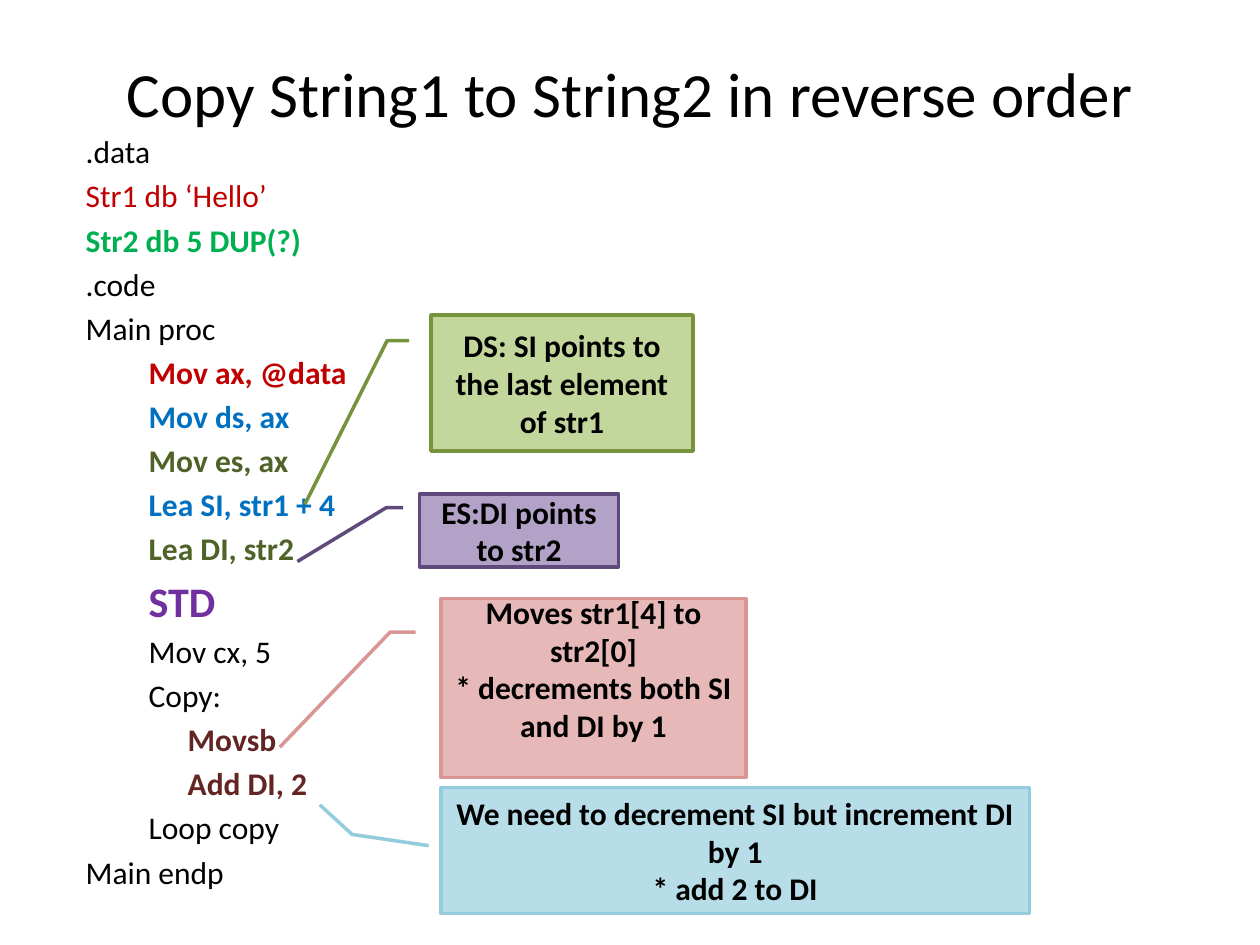
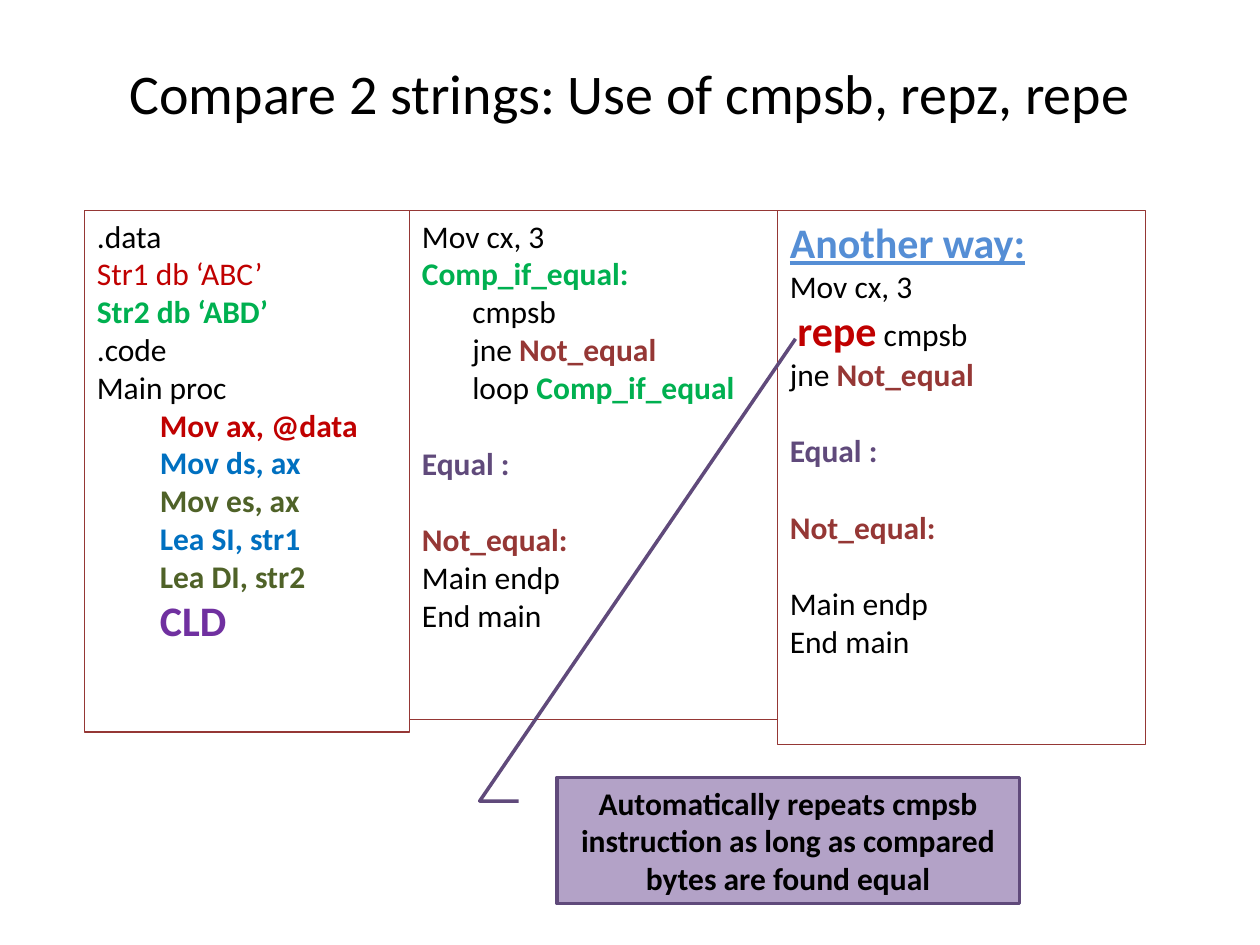
from dataclasses import dataclass

from lxml import etree
from pptx import Presentation
from pptx.dml.color import RGBColor
from pptx.enum import shapes, text
from pptx.oxml import ns
from pptx.util import Inches, Pt

FONT = "Calibri"
BLANK_LINE = 22
COLORS = {
    "black": "000000", "red": "C00000", "green": "00B050", "blue": "0070C0",
    "olive": "4F6228", "purple": "7030A0", "maroon": "632523",
    "brick": "953735", "violet": "604A7B", "sky": "558ED5",
    "moss": "77933C", "moss_fill": "C3D69B", "violet_fill": "B3A2C7",
    "rose": "D99694", "rose_fill": "E6B9B8",
    "aqua": "93CDDD", "aqua_fill": "B7DEE8",
}
ELBOW = (0.188, -0.083, 0.188, -0.167)


@dataclass
class Run:
    text: str
    color: str = "black"
    bold: bool = False
    size: int = 18
    underline: bool = False


@dataclass
class Line:
    runs: list
    indent: float = 0
    gap: int = 0


def plain(words, indent=0):
    return Line([Run(words)], indent)


def strong(words, color="black", indent=0, gap=0, size=18):
    return Line([Run(words, color, True, size)], indent, gap)


def rgb(name):
    return RGBColor.from_string(COLORS[name])


def place(sp, box):
    sp.left, sp.top, sp.width, sp.height = (Inches(v) for v in box)


def add_run(p, run):
    r = p.add_run()
    r.text = run.text
    r.font.name = FONT
    r.font.size = Pt(run.size)
    r.font.bold = run.bold
    r.font.underline = run.underline
    r.font.color.rgb = rgb(run.color)


def write_lines(tf, lines, align=text.PP_ALIGN.LEFT):
    tf.word_wrap = True
    tf.auto_size = text.MSO_AUTO_SIZE.NONE
    for i, line in enumerate(lines):
        p = tf.add_paragraph() if i else tf.paragraphs[0]
        p.alignment = align
        p.level = 1 if line.indent >= 0.5 else 0
        if line.gap:
            p.space_before = Pt(line.gap)
        pPr = p._p.get_or_add_pPr()
        pPr.set("marL", str(Inches(line.indent)))
        pPr.set("indent", "0")
        etree.SubElement(pPr, ns.qn("a:buNone"))
        for run in line.runs:
            add_run(p, run)


def new_slide(prs, layout, title, size):
    slide = prs.slides.add_slide(prs.slide_layouts.get_by_name(layout))
    sp = slide.shapes.title
    place(sp, (0.5, 0.3, 9, 0.87))
    sp.text_frame.vertical_anchor = text.MSO_ANCHOR.MIDDLE
    write_lines(sp.text_frame, [Line([Run(title, size=size)])],
                text.PP_ALIGN.CENTER)
    return slide


def add_callout(slide, box, color, words, leader, bottom_inset=0.05):
    sp = slide.shapes.add_shape(shapes.MSO_SHAPE.LINE_CALLOUT_2,
                                *(Inches(v) for v in box))
    sp.shadow.inherit = False
    sp.fill.solid()
    sp.fill.fore_color.rgb = rgb(color + "_fill")
    sp.line.color.rgb = rgb(color)
    sp.line.width = Pt(2)
    for i, value in enumerate(leader):
        sp.adjustments[i] = value
    tf = sp.text_frame
    tf.vertical_anchor = text.MSO_ANCHOR.MIDDLE
    tf.margin_bottom = Inches(bottom_inset)
    write_lines(tf, [strong(w) for w in words], text.PP_ALIGN.CENTER)


def add_code_panel(slide, box, lines):
    sp = slide.shapes.add_textbox(*(Inches(v) for v in box))
    sp.line.color.rgb = rgb("brick")
    sp.line.width = Pt(0.75)
    write_lines(sp.text_frame, lines)


def program_start(str1, str2, source, flag):
    setup = [("Mov ax, @data", "red"), ("Mov ds, ax", "blue"),
             ("Mov es, ax", "olive"), (f"Lea SI, {source}", "blue"),
             ("Lea DI, str2", "olive")]
    return [
        plain(".data"),
        Line([Run(f"Str1 db {str1}", "red")]),
        strong(f"Str2 db {str2}", "green"),
        plain(".code"),
        plain("Main proc"),
        *(strong(words, color, 0.5) for words, color in setup),
        strong(flag, "purple", 0.5, size=24),
    ]


def build_reverse_copy(prs):
    slide = new_slide(prs, "Title and Content",
                      "Copy String1 to String2 in reverse order", 36)
    body = slide.placeholders[1]
    place(body, (0.58, 1, 4.08, 6.17))
    write_lines(body.text_frame, [
        *program_start("‘Hello’", "5 DUP(?)", "str1 + 4", "STD"),
        plain("Mov cx, 5", 0.5),
        plain("Copy:", 0.5),
        strong("Movsb", "maroon", 0.81),
        strong("Add DI, 2", "maroon", 0.81),
        plain("Loop copy", 0.5),
        plain("Main endp"),
    ])
    add_callout(slide, (3.42, 2.5, 2.08, 1.08), "moss",
                ["DS: SI points to the last element of str1"],
                (*ELBOW, 1.391, -0.481))
    add_callout(slide, (3.33, 3.92, 1.58, 0.58), "violet",
                ["ES:DI points to str2"], (*ELBOW, 0.925, -0.614))
    add_callout(slide, (3.5, 4.75, 2.42, 1.42), "rose",
                ["Moves str1[4] to str2[0]",
                 "* decrements both SI and DI by 1"],
                (*ELBOW, 0.831, -0.529), bottom_inset=0.36)
    add_callout(slide, (3.5, 6.25, 4.67, 1), "aqua",
                ["We need to decrement SI but increment DI by 1",
                 "* add 2 to DI"],
                (0.462, -0.021, 0.373, -0.151, 0.138, -0.206))


def build_compare(prs):
    slide = new_slide(prs, "Title Only",
                      "Compare 2 strings: Use of cmpsb, repz, repe", 32)
    jump = [Run("jne "), Run("Not_equal", "brick", True)]
    equal = strong("Equal :", "violet", gap=BLANK_LINE)
    not_equal = strong("Not_equal:", "brick", gap=BLANK_LINE)
    loop_way = [
        plain("Mov cx, 3"),
        strong("Comp_if_equal:", "green"),
        plain("cmpsb", 0.4),
        Line(jump, 0.4),
        Line([Run("loop "), Run("Comp_if_equal", "green", True)], 0.4),
        equal,
        not_equal,
        plain("Main endp"),
        plain("End main"),
    ]
    repeat_way = [
        Line([Run("Another way:", "sky", True, 24, True)]),
        plain("Mov cx, 3"),
        Line([Run("repe", "red", True, 24), Run(" cmpsb")], 0.06),
        Line(jump),
        equal,
        not_equal,
        Line([Run("Main endp")], gap=BLANK_LINE),
        plain("End main"),
    ]
    start = program_start("‘ABC’", "‘ABD’", "str1", "CLD")
    left = 0.67
    for width, height, lines in ((2.58, 4.14, start), (2.92, 4.04, loop_way),
                                 (2.92, 4.24, repeat_way)):
        add_code_panel(slide, (left, 1.67, width, height), lines)
        left += width
    add_callout(slide, (4.42, 6.17, 3.67, 1), "violet",
                ["Automatically repeats cmpsb instruction as long as "
                 "compared bytes are found equal"],
                (*ELBOW, -3.481, 0.516))


def main():
    prs = Presentation()
    prs.slide_width, prs.slide_height = Inches(10), Inches(7.5)
    build_reverse_copy(prs)
    build_compare(prs)
    prs.save("out.pptx")


if __name__ == "__main__":
    main()
